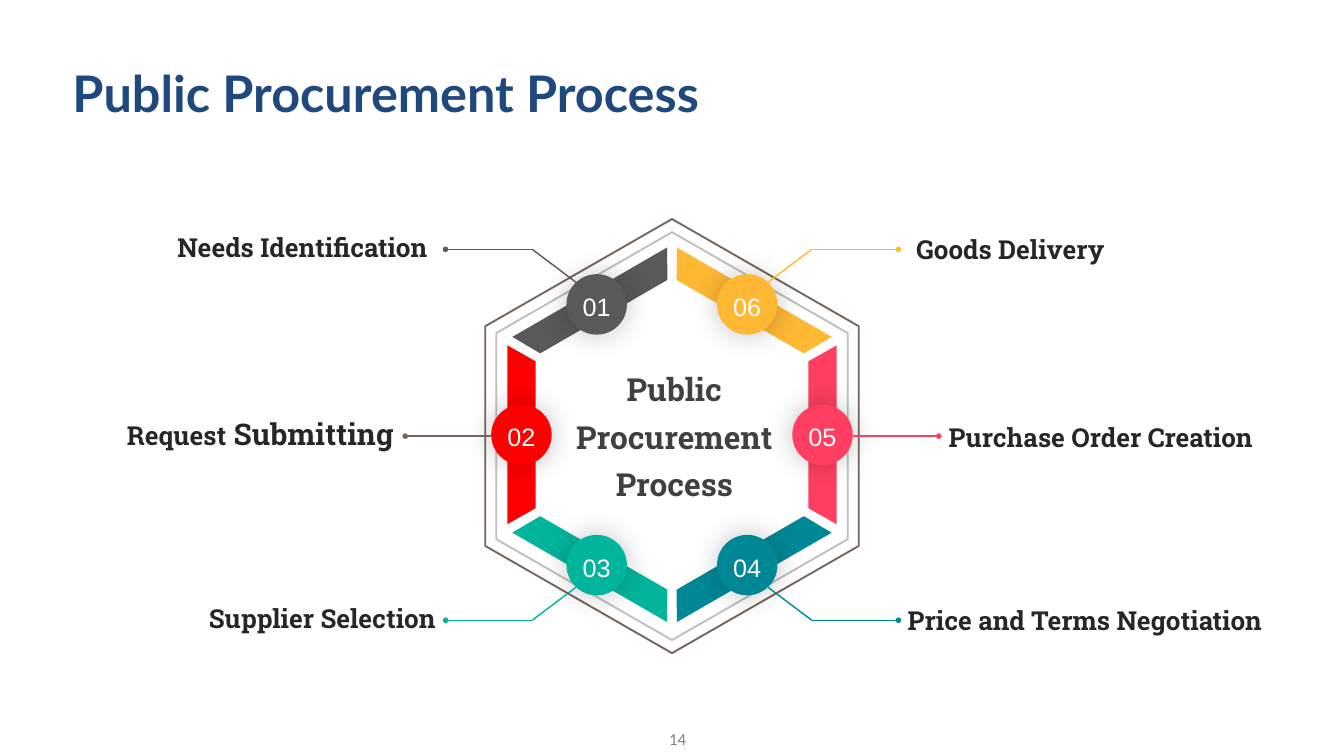
from math import cos, radians, sin

from lxml.etree import SubElement
from pptx import Presentation
from pptx.dml.color import RGBColor
from pptx.enum.shapes import MSO_CONNECTOR as Connector, MSO_SHAPE as Shape
from pptx.enum.text import MSO_ANCHOR as Anchor, MSO_AUTO_SIZE as AutoSize, PP_ALIGN as Align
from pptx.oxml.ns import qn
from pptx.util import Inches, Pt

# Content
TITLE = "Public Procurement Process"
HUB = ["Public Procurement", "Process"]
PAGE_NUMBER = "14"
COLORS = {
    "title": "1F497D", "label": "262626", "hub": "404040", "number": "808080",
    "white": "FFFFFF", "inner": "BFBFBF", "outer": "75645C",
    "gray": "595959", "red": "FF0000", "green": "01B59C",
    "teal": "008795", "pink": "FE3F61", "amber": "FEB834",
}
# Number, fill, leader colour, direction from centre (degrees clockwise from
# the right), label box (left, top, width), label runs (text, size)
STEPS = [
    ("01", "gray", "gray", 240, (2.54, 3.39, 4.14), [("Needs Identification", 28)]),
    ("02", "red", "outer", 180, (1.79, 6.14, 4.34), [("Request", 28), (" Submitting", 32)]),
    ("03", "green", "green", 120, (3.01, 8.91, 3.87), [("Supplier Selection", 28)]),
    ("04", "teal", "teal", 60, (13.41, 8.94, 5.73), [("Price and Terms Negotiation", 28)]),
    ("05", "pink", "pink", 0, (14.02, 6.22, 5.26), [("Purchase Order Creation", 28)]),
    ("06", "amber", "amber", 300, (13.54, 3.42, 5.73), [("Goods Delivery", 28)]),
]

# Geometry in inches
CENTER_X, CENTER_Y = 10, 6.47
RING_RADIUS = 2.24
BAR_LENGTH, BAR_DEPTH = 2.66, 0.42
CIRCLE = 0.9
HEXAGONS = [(6.07, 5.23, "inner"), (6.46, 5.56, "outer")]
# Leader points as offsets from the centre, from the dot inwards
SLANTED_LEADER = [(3.37, 2.76), (2.08, 2.76), (1.43, 2.27)]
LEVEL_LEADER = [(3.97, 0.02), (2.69, 0.02)]


def color(name):
    return RGBColor.from_string(COLORS[name])


def add_span(para, text, size, font, tone, bold=False):
    span = para.add_run()
    span.text = text
    span.font.size = Pt(size)
    span.font.name = font
    span.font.bold = bold
    span.font.color.rgb = color(tone)


def add_box(left, top, width, height):
    box = page.shapes.add_textbox(*map(Inches, (left, top, width, height)))
    box.text_frame.word_wrap = True
    return box.text_frame


def add_centered(kind, center_x, center_y, width, height, rotation=0):
    shape = page.shapes.add_shape(kind, Inches(center_x - width / 2), Inches(center_y - height / 2),
                                  Inches(width), Inches(height))
    shape.rotation = rotation
    shape.shadow.inherit = False
    return shape


def fill_plain(shape, tone):
    shape.fill.solid()
    shape.fill.fore_color.rgb = color(tone)
    shape.line.fill.background()


def add_glow_shadow(shape):
    effects = shape._element.spPr.find(qn("a:effectLst"))
    shadow = SubElement(effects, qn("a:outerShdw"), blurRad=str(Pt(31)), dist="0",
                        dir="0", algn="ctr", rotWithShape="0")
    tone = SubElement(shadow, qn("a:srgbClr"), val="000000")
    SubElement(tone, qn("a:alpha"), val="23000")


def add_leader(points, tone):
    for index, (start, end) in enumerate(zip(points, points[1:])):
        line = page.shapes.add_connector(Connector.STRAIGHT, *map(Inches, start + end))
        line.line.color.rgb = color(tone)
        line.line.width = Pt(1.5)
        if index == 0:
            SubElement(line.line._get_or_add_ln(), qn("a:headEnd"), type="oval")
        SubElement(line._element.spPr, qn("a:effectLst"))


deck = Presentation()
deck.slide_width, deck.slide_height = Inches(20), Inches(11.25)
page = deck.slides.add_slide(deck.slide_layouts[5])

# Title
title = page.shapes.title
title.left, title.top, title.width, title.height = map(Inches, (-3.75, 0.78, 18.98, 1.19))
title.text_frame.auto_size = AutoSize.NONE
title.text_frame.vertical_anchor = Anchor.MIDDLE
para = title.text_frame.paragraphs[0]
para.alignment = Align.CENTER
add_span(para, TITLE, 54, "Lato", "title", bold=True)

# Hexagon outlines
for width, height, tone in HEXAGONS:
    hexagon = add_centered(Shape.HEXAGON, CENTER_X, CENTER_Y + 0.02, width, height, 90)
    hexagon.adjustments[0] = 0.287
    hexagon.fill.background()
    hexagon.line.color.rgb = color(tone)
    hexagon.line.width = Pt(2)

# Ring: each bar has its long side facing outwards, with a numbered circle on it
for number, tone, leader_tone, angle, label, spans in STEPS:
    x = CENTER_X + RING_RADIUS * cos(radians(angle))
    y = CENTER_Y + RING_RADIUS * sin(radians(angle))
    bar = add_centered(Shape.TRAPEZOID, x, y, BAR_LENGTH, BAR_DEPTH, (angle - 90) % 360)
    bar.adjustments[0] = 0.564
    fill_plain(bar, tone)

    circle = add_centered(Shape.OVAL, x, y, CIRCLE, CIRCLE)
    fill_plain(circle, tone)
    add_glow_shadow(circle)
    frame = circle.text_frame
    frame.margin_left = frame.margin_right = frame.margin_bottom = 0
    frame.margin_top = Inches(0.06)
    frame.word_wrap = False
    frame.vertical_anchor = Anchor.MIDDLE
    frame.paragraphs[0].alignment = Align.CENTER
    add_span(frame.paragraphs[0], number, 27, "Arial", "white")

# Leaders and labels
for number, tone, leader_tone, angle, (left, top, width), spans in STEPS:
    side = 1 if cos(radians(angle)) > 0 else -1
    level = angle % 180 == 0
    rise = 1 if level or angle < 180 else -1
    offsets = LEVEL_LEADER if level else SLANTED_LEADER
    add_leader([(CENTER_X + side * dx, CENTER_Y + rise * dy) for dx, dy in offsets], leader_tone)

    para = add_box(left, top, width, 0.57).paragraphs[0]
    for text, size in spans:
        add_span(para, text, size, "Roboto Slab", "label", bold=True)

# Text in the middle of the ring
frame = add_box(8.35, 4.76, 3.37, 3.33)
frame.margin_left = frame.margin_right = frame.margin_top = frame.margin_bottom = Inches(0.06)
frame.vertical_anchor = Anchor.MIDDLE
for index, text in enumerate(HUB):
    para = frame.add_paragraph() if index else frame.paragraphs[0]
    para.alignment = Align.CENTER
    para.line_spacing = Pt(51)
    add_span(para, text, 34, "Roboto Slab", "hub", bold=True)

# Page number
add_span(add_box(9.86, 10.79, 4.5, 0.45).paragraphs[0], PAGE_NUMBER, 18, "Calibri", "number")

deck.save("out.pptx")
